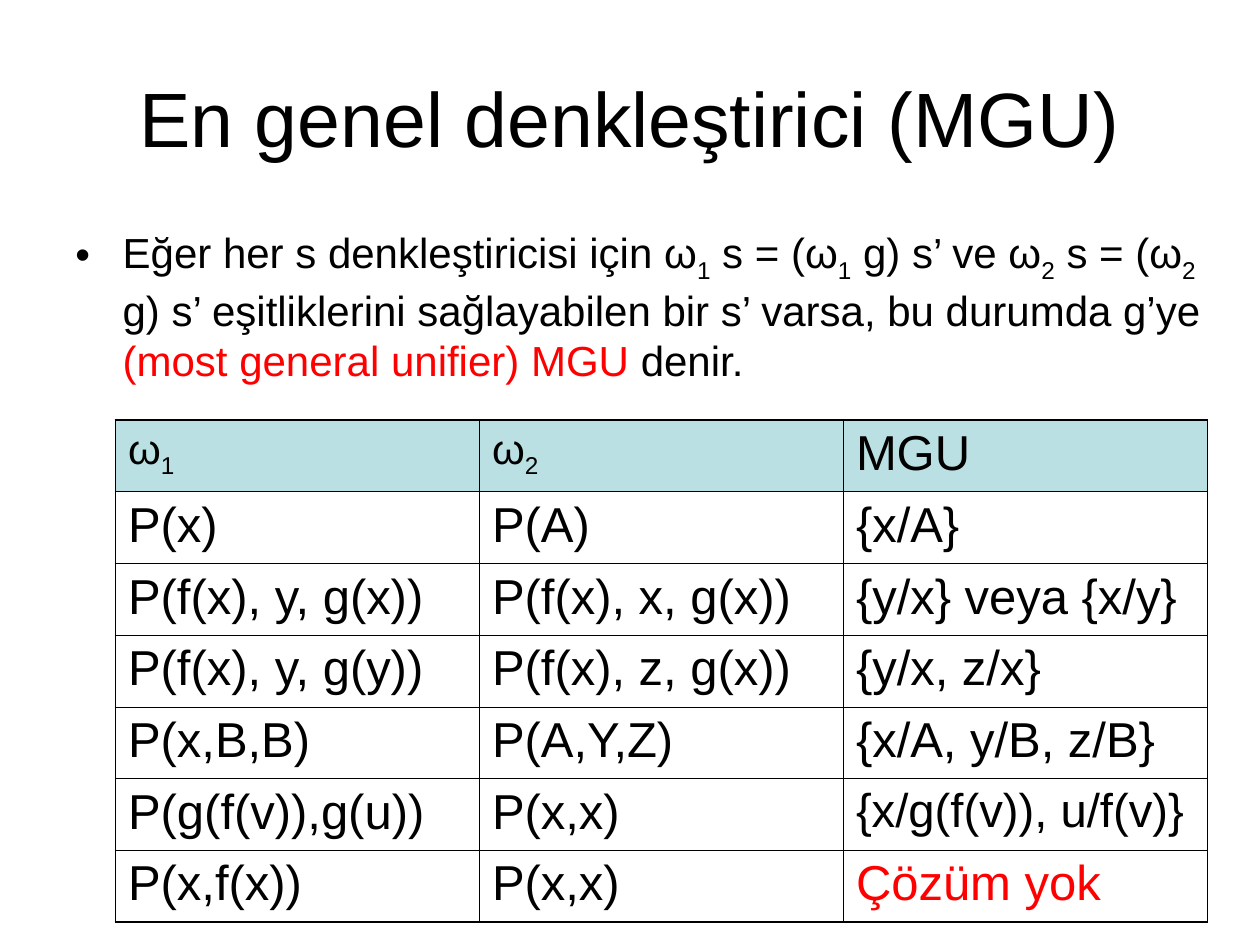
import pptx
import pptx.dml.color
import pptx.enum.text
import pptx.util
from lxml import etree
from pptx.oxml.ns import qn

Pt = pptx.util.Pt
COLORS = {"text": "000000", "accent": "FF0000", "header": "BBE0E3", "border": "000000"}
FONT = "Arial"
OUTER_LINE, INNER_LINE = 1.08, 0.45

TITLE = "En genel denkleştirici (MGU)"
DEFINITION = [
    ("Eğer her s denkleştiricisi için ω", "plain"), ("1", "sub"),
    (" s = (ω", "plain"), ("1", "sub"),
    (" g) s’ ve ω", "plain"), ("2", "sub"),
    (" s = (ω", "plain"), ("2", "sub"),
    (" g) s’ eşitliklerini sağlayabilen bir s’ varsa, bu durumda g’ye ", "plain"),
    ("(most general unifier) MGU", "accent"), (" denir.", "plain"),
]
HEADERS = [
    ([("ω", "plain"), ("1", "sub")], 24),
    ([("ω", "plain"), ("2", "sub")], 24),
    ([("MGU", "plain")], 28),
]
EXAMPLES = [
    ("P(x)", "P(A)", "{x/A}"),
    ("P(f(x), y, g(x))", "P(f(x), x, g(x))", "{y/x} veya {x/y}"),
    ("P(f(x), y, g(y))", "P(f(x), z, g(x))", "{y/x, z/x}"),
    ("P(x,B,B)", "P(A,Y,Z)", "{x/A, y/B, z/B}"),
    ("P(g(f(v)),g(u))", "P(x,x)", "{x/g(f(v)), u/f(v)}"),
    ("P(x,f(x))", "P(x,x)", "Çözüm yok"),
]
SIZES = {"{x/g(f(v)), u/f(v)}": 27}
STYLES = {"Çözüm yok": "accent"}


def rgb(name):
    """Return the named colour."""
    return pptx.dml.color.RGBColor.from_string(COLORS[name])


def write_spans(para, spans, size):
    """Fill a paragraph with plain, subscript and accent spans."""
    para.font.name = FONT
    para.font.size = Pt(size)
    para.font.color.rgb = rgb("text")
    for text, style in spans:
        span = para.add_run()
        span.text = text
        if style == "sub":
            span._r.get_or_add_rPr().set("baseline", "-25000")
        elif style == "accent":
            span.font.color.rgb = rgb("accent")


def add_text_frame(page, left, top, width, height):
    """Add a wrapping text box and return its frame."""
    frame = page.shapes.add_textbox(Pt(left), Pt(top), Pt(width), Pt(height)).text_frame
    frame.word_wrap = True
    return frame


def add_title(page, left, top, width, height):
    """Add the centred title."""
    frame = add_text_frame(page, left, top, width, height)
    frame.vertical_anchor = pptx.enum.text.MSO_ANCHOR.MIDDLE
    para = frame.paragraphs[0]
    para.alignment = pptx.enum.text.PP_ALIGN.CENTER
    write_spans(para, [(TITLE, "plain")], 44)


def add_definition(page, left, top, width, height):
    """Add the bulleted definition."""
    para = add_text_frame(page, left, top, width, height).paragraphs[0]
    properties = para._p.get_or_add_pPr()
    properties.set("marL", str(Pt(27)))
    properties.set("indent", str(-Pt(27)))
    etree.SubElement(properties, qn("a:buFont"), typeface=FONT)
    etree.SubElement(properties, qn("a:buChar"), char="•")
    write_spans(para, DEFINITION, 24)


def set_borders(cell, widths):
    """Draw the four cell borders with widths in points."""
    properties = cell._tc.get_or_add_tcPr()
    for side, width in widths.items():
        line = etree.SubElement(properties, qn(f"a:ln{side}"), w=str(Pt(width)))
        fill = etree.SubElement(line, qn("a:solidFill"))
        etree.SubElement(fill, qn("a:srgbClr"), val=COLORS["border"])


def add_examples(page, left, top, width, height):
    """Add the table of expression pairs and their unifiers."""
    rows = [HEADERS] + [
        [([(text, STYLES.get(text, "plain"))], SIZES.get(text, 28)) for text in example]
        for example in EXAMPLES
    ]
    last_row, last_column = len(rows) - 1, len(HEADERS) - 1
    table = page.shapes.add_table(
        len(rows), len(HEADERS), Pt(left), Pt(top), Pt(width), Pt(height)
    ).table
    table.first_row = table.horz_banding = False
    for r, row in enumerate(rows):
        for c, (spans, size) in enumerate(row):
            cell = table.cell(r, c)
            edges = {"L": c == 0, "R": c == last_column, "T": r == 0, "B": r == last_row}
            set_borders(cell, {side: OUTER_LINE if outer else INNER_LINE
                               for side, outer in edges.items()})
            if r == 0:
                cell.fill.solid()
                cell.fill.fore_color.rgb = rgb("header")
            else:
                cell.fill.background()
            write_spans(cell.text_frame.paragraphs[0], spans, size)


def main():
    """Build and save the deck."""
    deck = pptx.Presentation()
    deck.slide_width, deck.slide_height = Pt(720), Pt(540)
    page = deck.slides.add_slide(deck.slide_layouts[6])
    add_title(page, 36, 21.6, 648, 90)
    add_definition(page, 36, 126, 660, 102)
    add_examples(page, 66, 240, 624, 287)
    deck.save("out.pptx")


if __name__ == "__main__":
    main()
